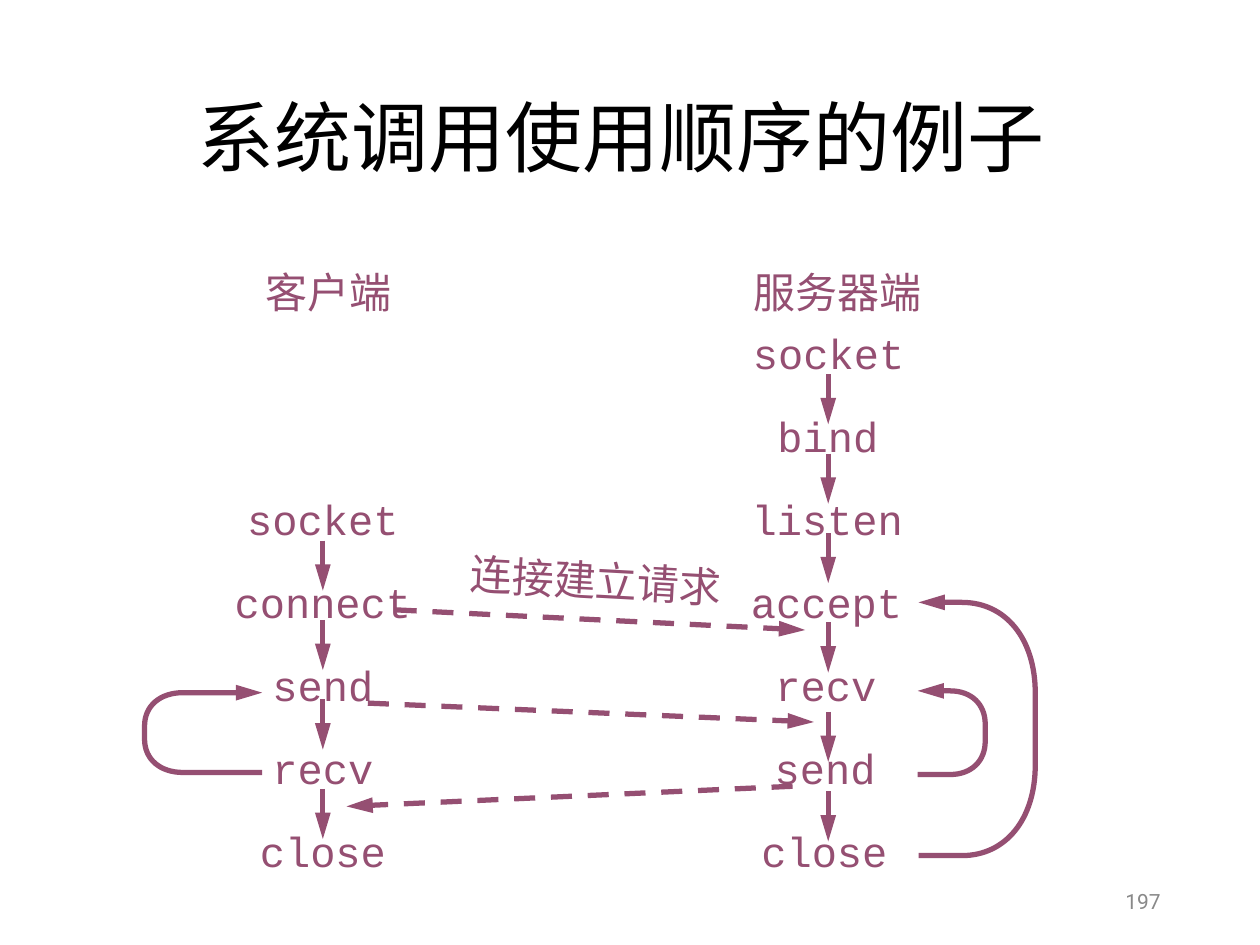
import itertools

import pptx
import pptx.dml.color
import pptx.enum.dml
import pptx.enum.shapes
import pptx.enum.text
import pptx.oxml.ns
import pptx.util

Pt = pptx.util.Pt
qn = pptx.oxml.ns.qn
ALIGN = pptx.enum.text.PP_ALIGN
ANCHOR = pptx.enum.text.MSO_ANCHOR
DASHED = pptx.enum.dml.MSO_LINE.DASH
PLUM = pptx.dml.color.RGBColor(0x95, 0x4F, 0x72)
BLACK = pptx.dml.color.RGBColor(0x00, 0x00, 0x00)
GREY = pptx.dml.color.RGBColor(0x89, 0x89, 0x89)

LABEL_SIZE = 24
CODE_ADVANCE = 0.6 * LABEL_SIZE
SIDE_INSETS = 14.4
HEADING_TOP = 149
FIRST_CALL_TOP, CALL_PITCH = 183.4, 47.5
ARROW_LENGTH = 28.6
SHORT_STEP, LONG_STEP = 45.4, 51.1
ROUNDING = 0.6

SERVER = {
    "heading": "服务器端", "heading_left": 423.4,
    "calls": ["socket", "bind", "listen", "accept", "recv", "send", "close"],
    "first_row": 0, "center": 473.5, "drift": -0.4,
    "arrow_x": 473.3, "arrow_top": 213.8,
    "arrow_steps": [SHORT_STEP, SHORT_STEP, LONG_STEP, LONG_STEP, SHORT_STEP],
}
CLIENT = {
    "heading": "客户端", "heading_left": 144.7,
    "calls": ["socket", "connect", "send", "recv", "close"],
    "first_row": 2, "center": 184.5, "drift": 0,
    "arrow_x": 184.5, "arrow_top": 308.9,
    "arrow_steps": [SHORT_STEP, SHORT_STEP, LONG_STEP],
}
MESSAGES = {
    "connect to accept": (226.1, 348.5, 460.1, 360),
    "send to recv": (210.2, 401.8, 465.1, 412.6),
    "send back to recv": (452.9, 449.3, 198, 460.8),
}
LOOPS = {
    "client recv to send": dict(
        inner=149.8, outer=82.6, start=441.4, end=395.8, corner=(22, 19)),
    "server send to recv": dict(
        inner=524.4, outer=563, start=442.6, end=394.8, corner=(20, 19)),
    "server close to accept": dict(
        inner=524.9, outer=591.6, start=488.9, end=344.2, corner=(42, 52)),
}


def write(frame, text, font="Arial", size=LABEL_SIZE, color=PLUM,
          align=ALIGN.LEFT, spacing=None):
    paragraph = frame.paragraphs[0]
    paragraph.alignment = align
    paragraph.line_spacing = spacing
    run = paragraph.add_run()
    run.text = text
    run.font.name = font
    run.font.size = Pt(size)
    run.font.color.rgb = color


class Sketch:
    def __init__(self, slide, color=PLUM, weight=3):
        self.slide = slide
        self.color = color
        self.weight = weight

    def text(self, text, left, top, width, height, wrap=True,
             anchor=ANCHOR.MIDDLE, rotation=0, **style):
        box = self.slide.shapes.add_textbox(
            Pt(left), Pt(top), Pt(width), Pt(height))
        box.rotation = rotation
        frame = box.text_frame
        frame.word_wrap = wrap
        frame.vertical_anchor = anchor
        if not wrap:
            frame.auto_size = pptx.enum.text.MSO_AUTO_SIZE.SHAPE_TO_FIT_TEXT
        write(frame, text, **style)

    def label(self, text, left, top, advance=LABEL_SIZE, **style):
        width = advance * len(text) + SIDE_INSETS
        self.text(text, left, top, width, 36, wrap=False,
                  anchor=ANCHOR.TOP, **style)

    def call(self, name, center, top):
        left = center - (CODE_ADVANCE * len(name) + SIDE_INSETS) / 2
        self.label(name, left, top, advance=CODE_ADVANCE,
                   font="Courier New", align=ALIGN.CENTER)

    def stroke(self, shape, dash=None):
        shape.line.color.rgb = self.color
        shape.line.width = Pt(self.weight)
        shape.line.dash_style = dash
        outline = shape._element.spPr.find(qn("a:ln"))
        outline.append(outline.makeelement(
            qn("a:tailEnd"), {"type": "triangle", "len": "lg"}))

    def arrow(self, x1, y1, x2, y2, dash=None):
        arrow = self.slide.shapes.add_connector(
            pptx.enum.shapes.MSO_CONNECTOR.STRAIGHT,
            Pt(x1), Pt(y1), Pt(x2), Pt(y2))
        self.stroke(arrow, dash)
        properties = arrow._element.spPr
        properties.append(properties.makeelement(qn("a:effectLst"), {}))

    def loop(self, inner, outer, start, end, corner):
        across, along = corner
        if outer < inner:
            across = -across
        bend = outer - across
        pull_x = bend + ROUNDING * across
        pull_y = (1 - ROUNDING) * along
        route = [
            (bend, start),
            (pull_x, start), (outer, start - pull_y), (outer, start - along),
            (outer, end + along),
            (outer, end + pull_y), (pull_x, end), (bend, end),
            (inner, end),
        ]
        builder = self.slide.shapes.build_freeform(Pt(inner), Pt(start))
        builder.add_line_segments(
            [(Pt(x), Pt(y)) for x, y in route], close=False)
        loop = builder.convert_to_shape()
        loop.shadow.inherit = False
        loop.fill.background()
        self.stroke(loop)
        segments = loop._element.xpath(".//a:lnTo")
        for corner_segments in (segments[1:4], segments[5:8]):
            self.round_corner(corner_segments)

    def round_corner(self, segments):
        curve = segments[0].makeelement(qn("a:cubicBezTo"), {})
        segments[0].addprevious(curve)
        for segment in segments:
            curve.append(segment[0])
            segment.getparent().remove(segment)

    def column(self, heading, heading_left, calls, first_row, center, drift,
               arrow_x, arrow_top, arrow_steps):
        self.label(heading, heading_left, HEADING_TOP)
        for row, name in enumerate(calls, start=first_row):
            self.call(name, center + drift * row,
                      FIRST_CALL_TOP + CALL_PITCH * row)
        for top in itertools.accumulate(arrow_steps, initial=arrow_top):
            self.arrow(arrow_x, top, arrow_x, top + ARROW_LENGTH)


def main():
    deck = pptx.Presentation()
    deck.slide_width, deck.slide_height = Pt(720), Pt(540)
    sketch = Sketch(deck.slides.add_slide(deck.slide_layouts[6]))

    sketch.text("系统调用使用顺序的例子 ", 49.7, 28.8, 620.6, 104.4,
                font="Calibri", size=44, color=BLACK,
                align=ALIGN.CENTER, spacing=0.9)
    for side in (SERVER, CLIENT):
        sketch.column(**side)
    for loop in LOOPS.values():
        sketch.loop(**loop)
    for ends in MESSAGES.values():
        sketch.arrow(*ends, dash=DASHED)
    sketch.label("连接建立请求", 261.4, 313.4, rotation=3.1)
    sketch.text("197", 508.3, 500.4, 162, 28.8, font="Roboto", size=12,
                color=GREY, align=ALIGN.RIGHT)
    deck.save("out.pptx")


if __name__ == "__main__":
    main()
